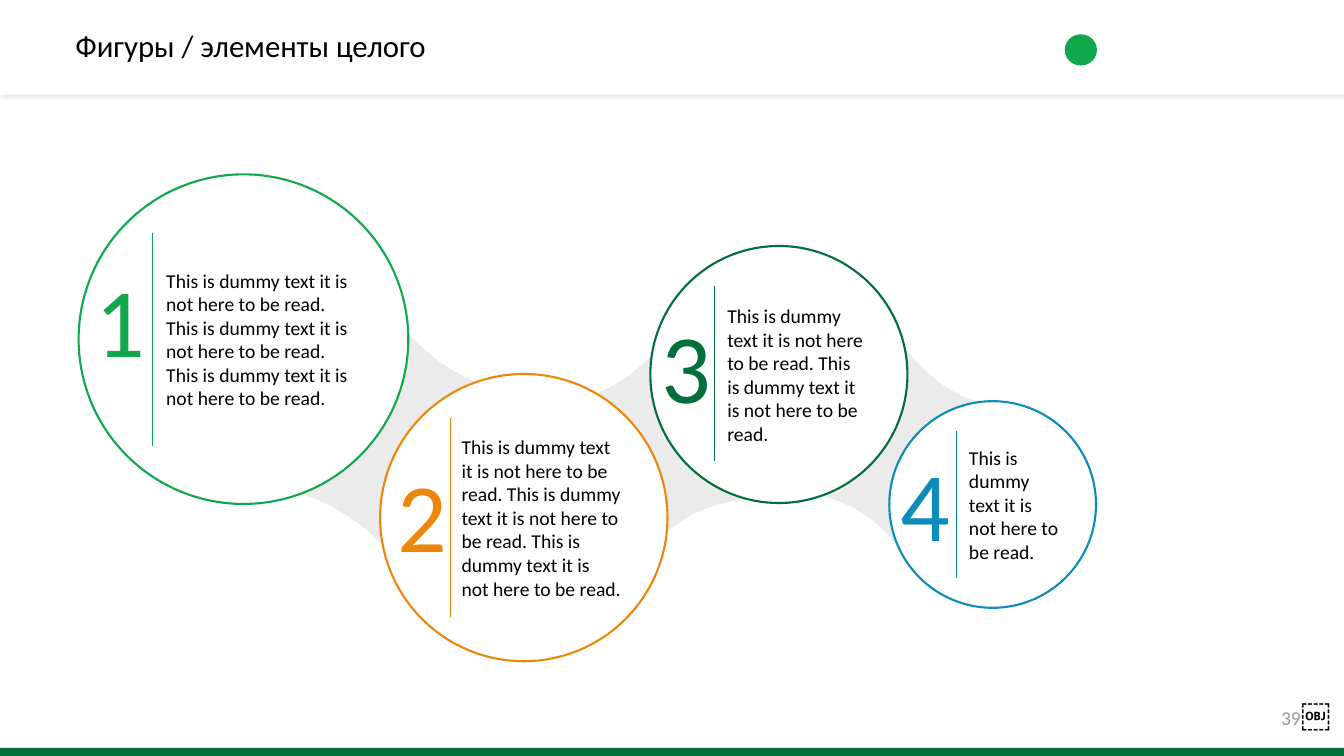
from lxml import etree
from pptx import Presentation
from pptx.dml.color import RGBColor
from pptx.enum.shapes import MSO_CONNECTOR as CONN, MSO_SHAPE as SHAPE
from pptx.enum.text import MSO_ANCHOR as ANCHOR, MSO_AUTO_SIZE as FIT, PP_ALIGN as ALIGN
from pptx.oxml import parse_xml
from pptx.oxml.ns import nsdecls, qn
from pptx.util import Inches, Pt

BLACK = RGBColor(0x00, 0x00, 0x00)
WHITE = RGBColor(0xFF, 0xFF, 0xFF)
GREY = RGBColor(0x99, 0x99, 0x99)
PALE = RGBColor(0xEB, 0xEB, 0xEB)
DARK = RGBColor(0x00, 0x6F, 0x3C)
GREEN = RGBColor(0x11, 0xA7, 0x4C)
ORANGE = RGBColor(0xEB, 0x88, 0x0B)
BLUE = RGBColor(0x0C, 0x8C, 0xBB)

STEPS = 16
DUMMY = "This is dummy text it is not here to be read."

prs = Presentation()
prs.slide_width, prs.slide_height = Inches(13.33), Inches(7.5)
slide = prs.slides.add_slide(prs.slide_layouts[6])
shapes = slide.shapes


def add_solid(kind, left, top, width, height, fill):
    shape = shapes.add_shape(kind, Inches(left), Inches(top), Inches(width), Inches(height))
    shape.shadow.inherit = False
    shape.fill.solid()
    shape.fill.fore_color.rgb = fill
    shape.line.fill.background()
    return shape


def set_font(run, size, color, name="Calibri"):
    run.font.name = name
    run.font.size = Pt(size)
    run.font.color.rgb = color


# Footer, page number and header
add_solid(SHAPE.RECTANGLE, 0, 7.42, 13.33, 0.14, DARK)

page = shapes.add_textbox(Inches(12.57), Inches(6.91), Inches(0.76), Inches(0.35))
frame = page.text_frame
frame.word_wrap = True
frame.auto_size = FIT.SHAPE_TO_FIT_TEXT
frame.vertical_anchor = ANCHOR.MIDDLE
frame.margin_left = frame.margin_right = frame.margin_top = frame.margin_bottom = 0
para = frame.paragraphs[0]
para.alignment = ALIGN.CENTER
for text, size, color, name in (("39", 14, GREY, "Calibri"), ("￼", 21, BLACK, "Cabin")):
    run = para.add_run()
    run.text = text
    set_font(run, size, color, name)

header = add_solid(SHAPE.RECTANGLE, 0, 0, 13.33, 0.94, WHITE)
effects = header._element.spPr.find(qn("a:effectLst"))
effects.append(parse_xml(
    f'<a:outerShdw {nsdecls("a")} blurRad="{Pt(1)}" dist="{Pt(2)}" dir="5400000" '
    'algn="t" rotWithShape="0"><a:srgbClr val="8A8A8A"><a:alpha val="20000"/>'
    '</a:srgbClr></a:outerShdw>'))
add_solid(SHAPE.OVAL, 10.56, 0.34, 0.32, 0.31, GREEN)

title = shapes.add_textbox(Inches(0.65), 0, Inches(9.84), Inches(0.94))
frame = title.text_frame
frame.word_wrap = True
frame.vertical_anchor = ANCHOR.MIDDLE
frame.text = "Фигуры / элементы целого"
frame.paragraphs[0].line_spacing = 0.9
set_font(frame.paragraphs[0].runs[0], 22, BLACK)

# Webs between the circles: two Bezier edges each, joined by straight sides
WEBS = [
    (((9.15, 5.79), (8.73, 5.05), (8.39, 4.94), (7.66, 4.81)),
     ((8.78, 3.10), (9.10, 3.80), (9.58, 4.05), (10.27, 4.09))),
    (((7.72, 4.93), (6.87, 4.95), (6.62, 5.20), (6.16, 5.79)),
     ((5.18, 4.00), (5.94, 4.04), (6.39, 3.73), (6.74, 3.14))),
    (((3.64, 2.74), (4.21, 3.68), (4.64, 3.83), (5.59, 4.04)),
     ((4.25, 6.05), (3.80, 5.18), (3.17, 4.84), (2.29, 4.75))),
]
for edges in WEBS:
    points = []
    for edge in edges:
        for step in range(STEPS + 1):
            t = step / STEPS
            parts = ((1 - t) ** 3, 3 * t * (1 - t) ** 2, 3 * t * t * (1 - t), t ** 3)
            points.append(tuple(
                Inches(sum(part * spot[axis] for part, spot in zip(parts, edge)))
                for axis in (0, 1)))
    outline = shapes.build_freeform(*points[0])
    outline.add_line_segments(points[1:], close=True)
    web = outline.convert_to_shape()
    web.shadow.inherit = False
    web.fill.solid()
    web.fill.fore_color.rgb = PALE
    web.line.fill.background()

# Circles: left, top, size, colour, repeats of the text, indent,
# divider x, divider top, divider bottom, digit left, digit top
CIRCLES = [
    (0.78, 1.73, 3.27, GREEN, 3, 0.39, 1.51, 2.31, 4.42, 0.85, 2.53),
    (3.77, 3.71, 2.85, ORANGE, 3, 0.39, 4.47, 4.15, 6.12, 3.84, 4.46),
    (6.45, 2.44, 2.55, DARK, 2, 0.39, 7.09, 2.84, 4.57, 6.46, 2.98),
    (8.82, 3.98, 2.05, BLUE, 1, 0.49, 9.49, 4.28, 5.73, 8.83, 4.35),
]
for num, (left, top, size, color, count, indent, x, start, end, dx, dy) in enumerate(CIRCLES, 1):
    circle = add_solid(SHAPE.OVAL, left, top, size, size, WHITE)
    circle.line.color.rgb = color
    circle.line.width = Pt(1.5)
    frame = circle.text_frame
    frame.word_wrap = True
    frame.vertical_anchor = ANCHOR.MIDDLE
    frame.margin_left = 0
    frame.margin_right = frame.margin_top = frame.margin_bottom = Inches(0.04)
    frame.text = " ".join([DUMMY] * count)
    para = frame.paragraphs[0]
    para.alignment = ALIGN.LEFT
    para._p.get_or_add_pPr().set("marL", str(Inches(indent)))
    set_font(para.runs[0], 14, BLACK)

    rule = shapes.add_connector(CONN.STRAIGHT, Inches(x), Inches(start), Inches(x), Inches(end))
    rule.line.color.rgb = color
    rule.line.width = Pt(0.5)
    etree.SubElement(rule._element.spPr, qn("a:effectLst"))

    digit = shapes.add_textbox(Inches(dx), Inches(dy), Inches(0.71), Inches(1.31))
    frame = digit.text_frame
    frame.word_wrap = False
    frame.auto_size = FIT.SHAPE_TO_FIT_TEXT
    frame.text = str(num)
    set_font(frame.paragraphs[0].runs[0], 70, color)

prs.save("out.pptx")
